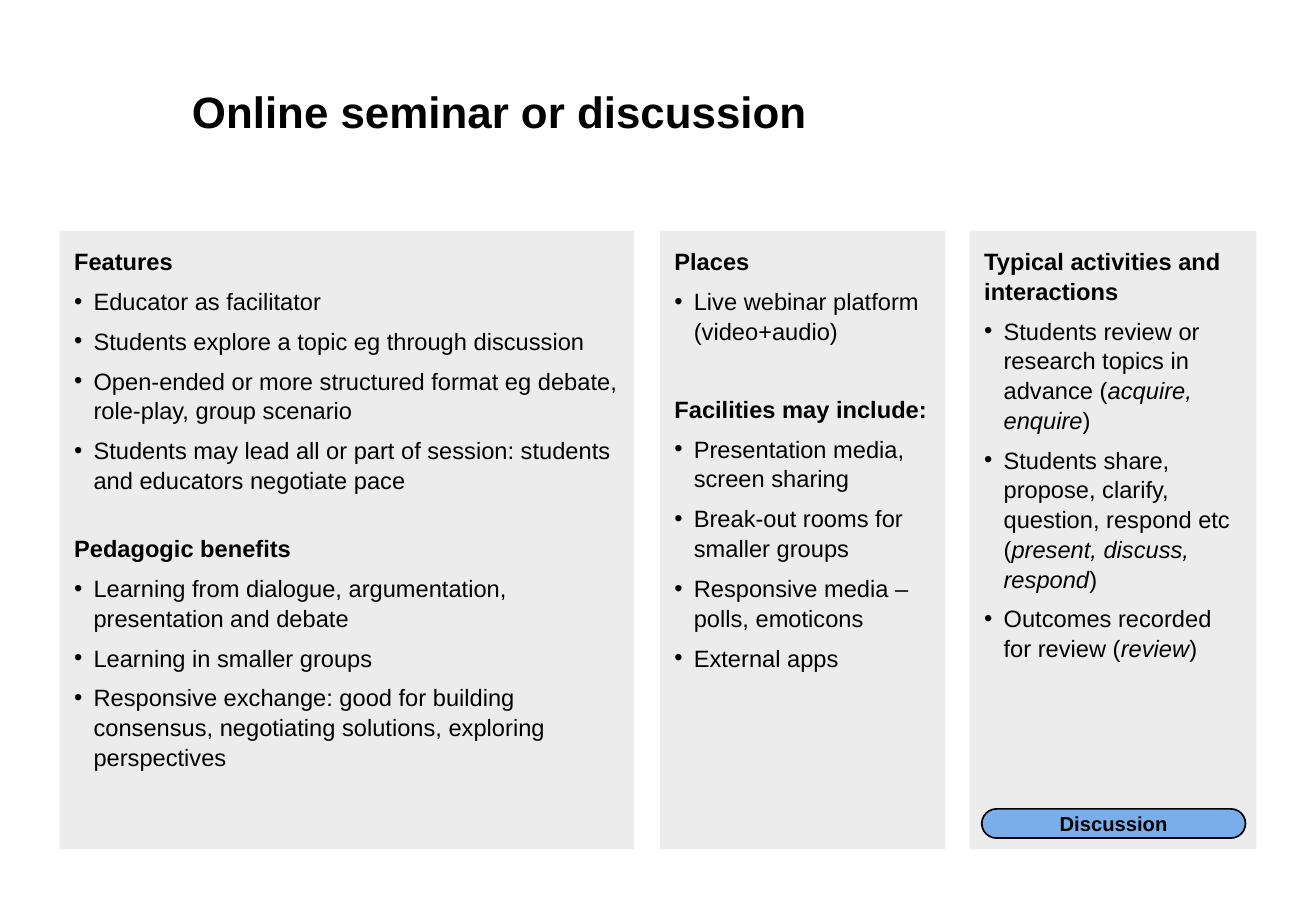
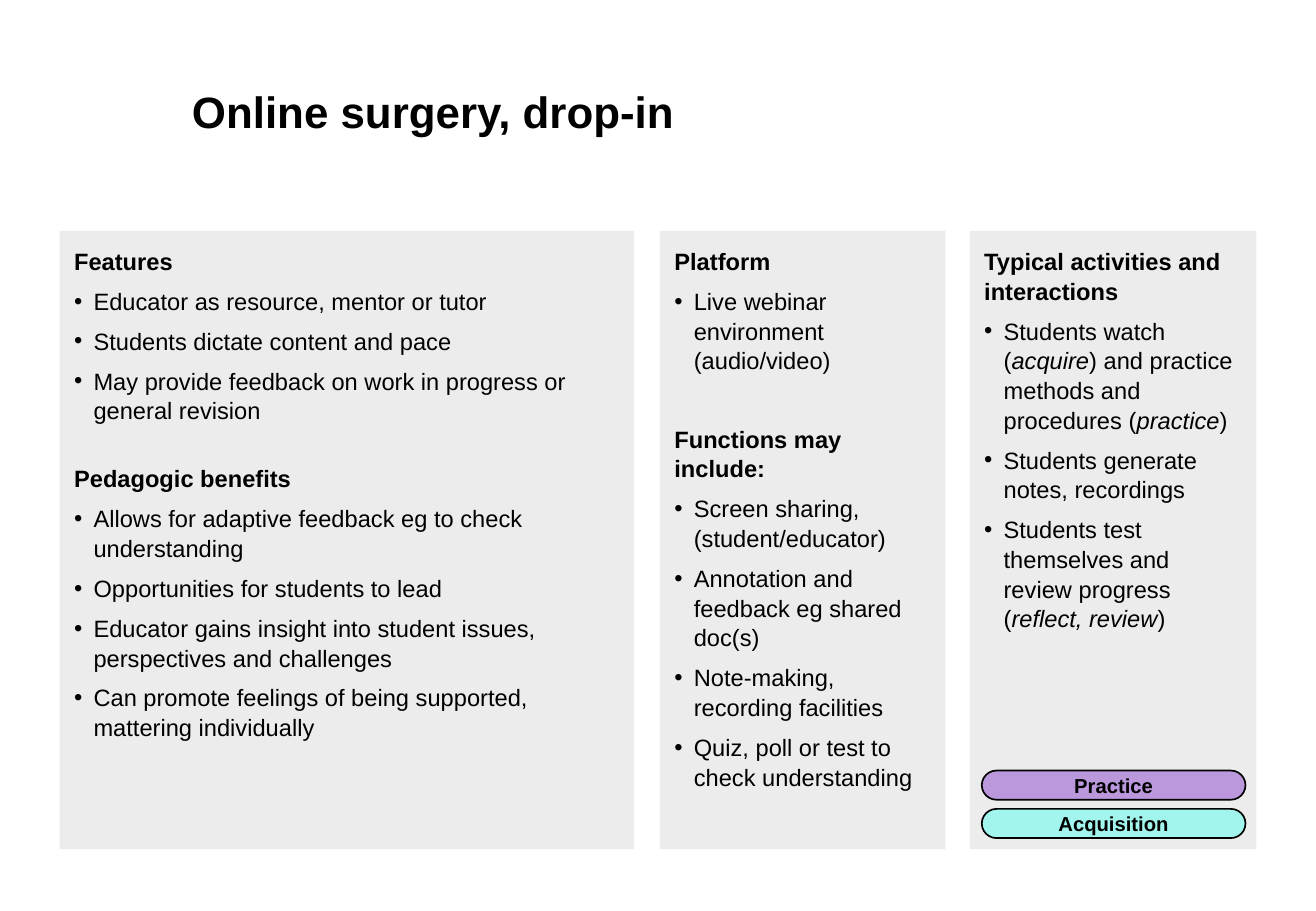
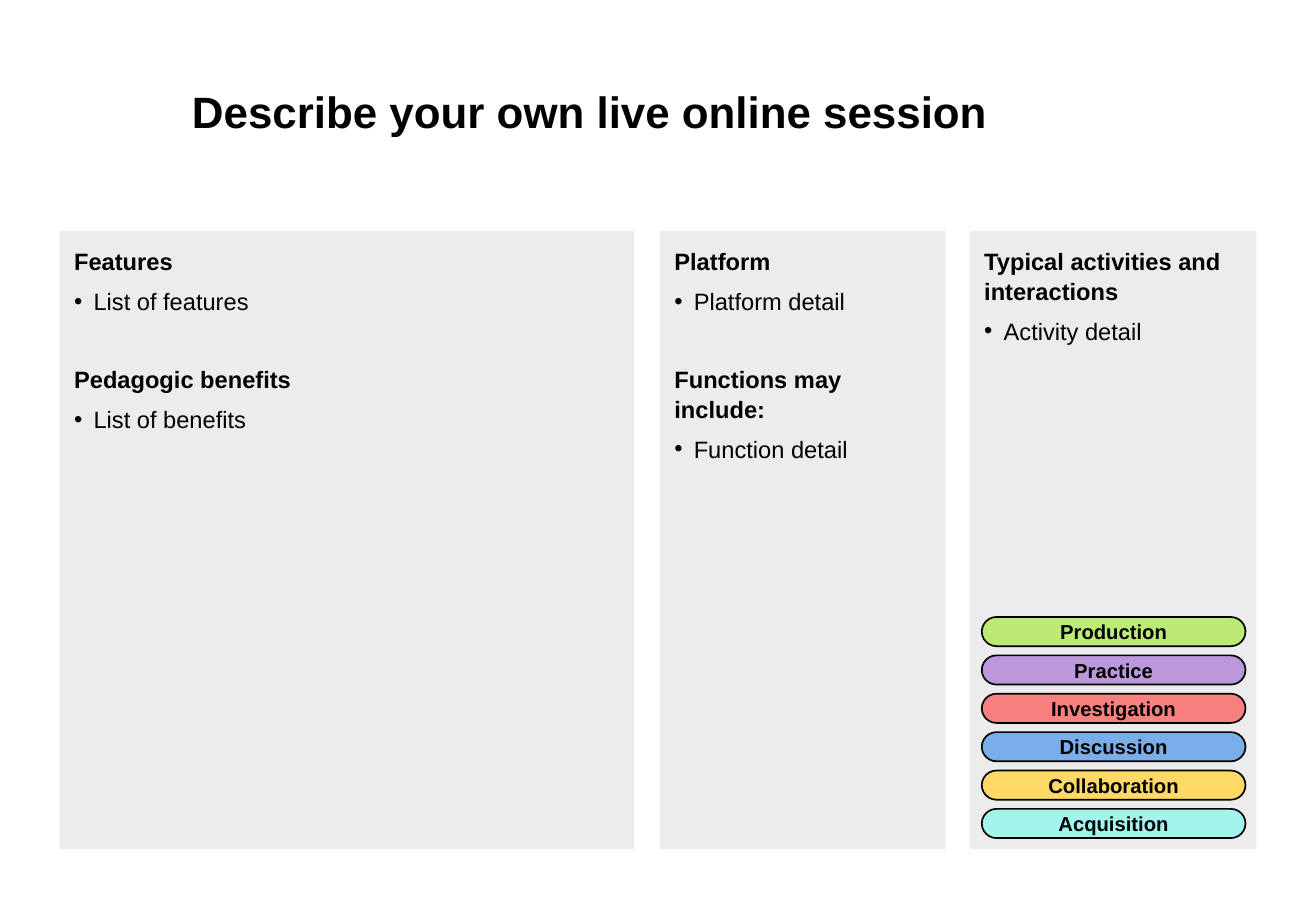
from lxml import etree
from pptx import Presentation
from pptx.dml.color import RGBColor
from pptx.enum import shapes, text
from pptx.oxml import ns
from pptx.util import Inches, Pt

BLACK = RGBColor(0x00, 0x00, 0x00)
PANEL_GREY = RGBColor(0xED, 0xEC, 0xEC)
ACTIVITY_COLOURS = {
    "Acquisition": RGBColor(0xA1, 0xF5, 0xED),
    "Collaboration": RGBColor(0xFF, 0xD9, 0x66),
    "Discussion": RGBColor(0x7A, 0xAE, 0xEA),
    "Investigation": RGBColor(0xF8, 0x80, 0x7F),
    "Practice": RGBColor(0xBB, 0x98, 0xDC),
    "Production": RGBColor(0xBD, 0xEA, 0x75),
}

FONT = "Arial"
PANEL_TOP, PANEL_HEIGHT = Inches(1.9), Inches(5.09)
PANEL_COLUMNS = [
    (Inches(0.49), Inches(4.73)),
    (Inches(5.43), Inches(2.35)),
    (Inches(7.98), Inches(2.36)),
]
PANEL_INSET = Inches(0.12)
BULLET_INDENT = Inches(0.16)
PARA_GAP = Pt(6)
CLOSE_GAP, WIDE_GAP = Pt(22.8), Pt(28.8)
PILL_WIDTH, PILL_HEIGHT = Inches(2.17), Inches(0.24)
PILL_MARGIN = Inches(0.1)
PILL_PITCH = Inches(1.58) // 5

ACTIVITIES_HEADING = "Typical activities and interactions"

SESSIONS = [
    {
        "title": "Online seminar or discussion",
        "panels": [
            (CLOSE_GAP, [
                ("Features", [
                    "Educator as facilitator",
                    "Students explore a topic eg through discussion",
                    "Open-ended or more structured format eg debate, role-play, group scenario",
                    "Students may lead all or part of session: students and educators negotiate pace",
                ]),
                ("Pedagogic benefits", [
                    "Learning from dialogue, argumentation, presentation and debate",
                    "Learning in smaller groups",
                    "Responsive exchange: good for building consensus, negotiating solutions, "
                    "exploring perspectives",
                ]),
            ]),
            (WIDE_GAP, [
                ("Places", ["Live webinar platform (video+audio)"]),
                ("Facilities may include:", [
                    "Presentation media, screen sharing",
                    "Break-out rooms for smaller groups",
                    "Responsive media – polls, emoticons",
                    "External apps",
                ]),
            ]),
            (WIDE_GAP, [
                (ACTIVITIES_HEADING, [
                    "Students review or research topics in advance (*acquire, enquire*)",
                    "Students share, propose, clarify, question, respond etc "
                    "(*present, discuss, respond*)",
                    "Outcomes recorded for review (*review*)",
                ]),
            ]),
        ],
        "activities": ["Discussion"],
    },
    {
        "title": "Online surgery, drop-in",
        "panels": [
            (CLOSE_GAP, [
                ("Features", [
                    "Educator as resource, mentor or tutor",
                    "Students dictate content and pace",
                    "May provide feedback on work in progress or general revision",
                ]),
                ("Pedagogic benefits", [
                    "Allows for adaptive feedback eg to check understanding",
                    "Opportunities for students to lead",
                    "Educator gains insight into student issues, perspectives and challenges",
                    "Can promote feelings of being supported, mattering individually",
                ]),
            ]),
            (WIDE_GAP, [
                ("Platform", ["Live webinar environment (audio/video)"]),
                ("Functions may include:", [
                    "Screen sharing, (student/educator)",
                    "Annotation and feedback eg shared doc(s)",
                    "Note-making, recording facilities",
                    "Quiz, poll or test to check understanding",
                ]),
            ]),
            (WIDE_GAP, [
                (ACTIVITIES_HEADING, [
                    "Students watch (*acquire*) and practice methods and procedures (*practice*)",
                    "Students generate notes, recordings",
                    "Students test themselves and review progress (*reflect, review*)",
                ]),
            ]),
        ],
        "activities": ["Acquisition", "Practice"],
    },
    {
        "title": "Describe your own live online session",
        "panels": [
            (WIDE_GAP, [
                ("Features", ["List of features"]),
                ("Pedagogic benefits", ["List of benefits"]),
            ]),
            (WIDE_GAP, [
                ("Platform", ["Platform detail"]),
                ("Functions may include:", ["Function detail"]),
            ]),
            (WIDE_GAP, [(ACTIVITIES_HEADING, ["Activity detail"])]),
        ],
        "activities": list(ACTIVITY_COLOURS),
    },
]


def set_font(para, size, bold):
    para.font.name = FONT
    para.font.size = Pt(size)
    para.font.bold = bold
    para.font.color.rgb = BLACK


def set_frame(frame, anchor, left, top, right, bottom):
    frame.word_wrap = True
    frame.auto_size = text.MSO_AUTO_SIZE.NONE
    frame.vertical_anchor = anchor
    frame.margin_left, frame.margin_top = left, top
    frame.margin_right, frame.margin_bottom = right, bottom


def set_bullet(para):
    properties = para._p.get_or_add_pPr()
    properties.set("marL", str(BULLET_INDENT))
    properties.set("indent", str(-BULLET_INDENT))
    etree.SubElement(properties, ns.qn("a:buFont")).set("typeface", FONT)
    etree.SubElement(properties, ns.qn("a:buChar")).set("char", "•")


def add_title(page, wording):
    title = page.shapes.title
    title.left, title.top = Inches(1.28), Inches(0.52)
    title.width, title.height = Inches(7.09), Inches(0.79)
    title.text_frame.text = wording
    set_frame(title.text_frame, text.MSO_ANCHOR.MIDDLE, Inches(0.3), 0, 0, 0)
    para = title.text_frame.paragraphs[0]
    para.alignment = text.PP_ALIGN.LEFT
    set_font(para, 26, True)


def add_box(page, kind, left, top, width, height, fill):
    box = page.shapes.add_shape(kind, left, top, width, height)
    box.shadow.inherit = False
    box.fill.solid()
    box.fill.fore_color.rgb = fill
    return box


def add_para(frame, wording, gap, bold):
    para = frame.add_paragraph() if frame.text else frame.paragraphs[0]
    para.alignment = text.PP_ALIGN.LEFT
    para.line_spacing = 1.05
    para.space_before = gap
    set_font(para, 14, bold)
    for index, part in enumerate(wording.split("*")):
        span = para.add_run()
        span.text = part
        if index % 2:
            span.font.italic = True
    return para


def add_panel(page, left, width, section_gap, sections):
    box = add_box(page, shapes.MSO_SHAPE.RECTANGLE, left, PANEL_TOP, width, PANEL_HEIGHT, PANEL_GREY)
    box.line.fill.background()
    frame = box.text_frame
    set_frame(frame, text.MSO_ANCHOR.TOP, *[PANEL_INSET] * 4)
    for index, (heading, items) in enumerate(sections):
        add_para(frame, heading, section_gap if index else PARA_GAP, True)
        for item in items:
            set_bullet(add_para(frame, item, PARA_GAP, False))


def add_activity_pills(page, panel_left, activities):
    lowest = Inches(6.66)
    for index, activity in enumerate(activities):
        pill = add_box(page, shapes.MSO_SHAPE.ROUNDED_RECTANGLE, panel_left + PILL_MARGIN,
                       lowest - index * PILL_PITCH, PILL_WIDTH, PILL_HEIGHT,
                       ACTIVITY_COLOURS[activity])
        pill.adjustments[0] = 0.5
        pill.line.color.rgb = BLACK
        pill.line.width = Pt(1)
        frame = pill.text_frame
        set_frame(frame, text.MSO_ANCHOR.MIDDLE, *[Inches(0.2), Inches(0.05)] * 2)
        frame.text = activity
        para = frame.paragraphs[0]
        para.alignment = text.PP_ALIGN.CENTER
        set_font(para, 12, True)


def add_session(deck, session):
    page = deck.slides.add_slide(deck.slide_layouts.get_by_name("Title Only"))
    add_title(page, session["title"])
    for (left, width), (gap, sections) in zip(PANEL_COLUMNS, session["panels"]):
        add_panel(page, left, width, gap, sections)
    add_activity_pills(page, PANEL_COLUMNS[-1][0], session["activities"])


def main():
    deck = Presentation()
    deck.slide_width, deck.slide_height = Inches(10.83), Inches(7.5)
    for session in SESSIONS:
        add_session(deck, session)
    deck.save("out.pptx")


if __name__ == "__main__":
    main()
